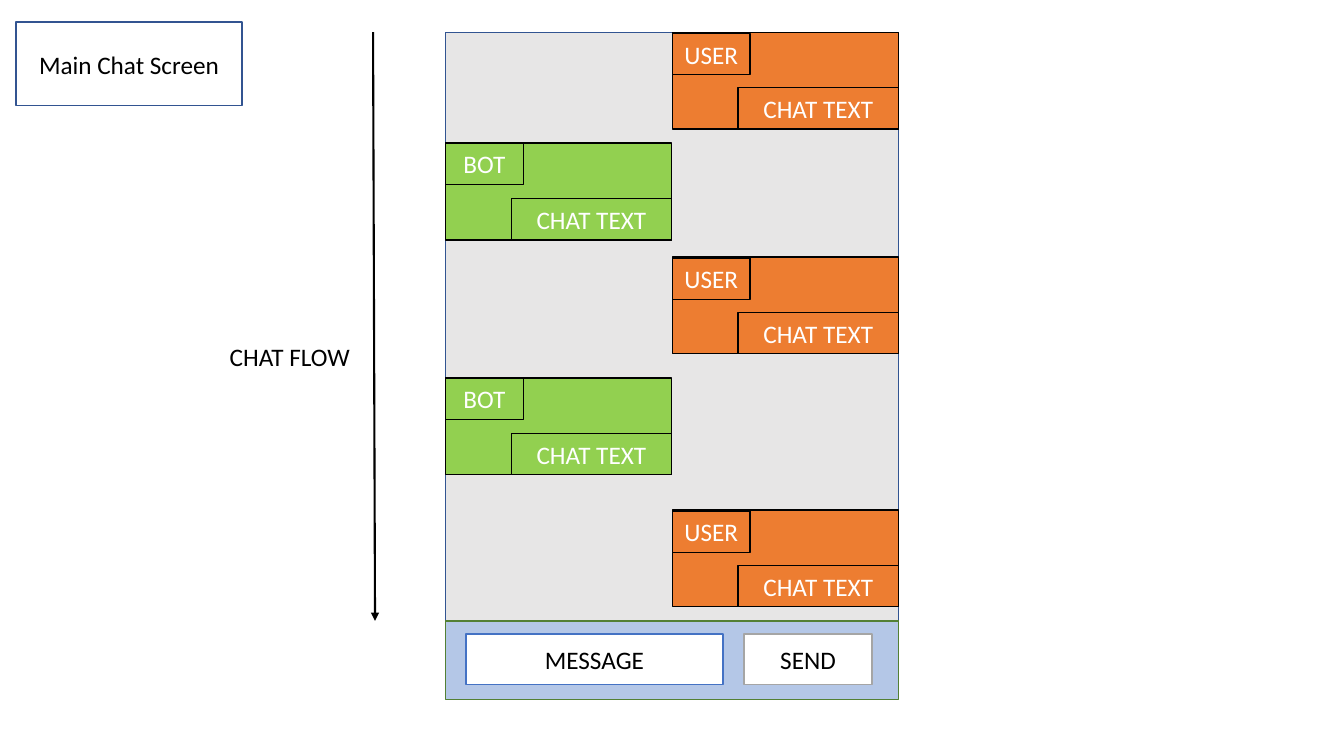
from pptx import Presentation
from pptx import util as u
from pptx.dml.color import RGBColor
from pptx.enum import shapes, text
from pptx.oxml.ns import qn
from lxml import etree

PX = 9144  # EMU per px, 100 px to the inch

COLORS = {
    "black": "000000",
    "white": "FFFFFF",
    "screen": "E7E6E6",
    "navy": "325491",
    "bar": "B4C7E7",
    "bar_edge": "538035",
    "message_edge": "4472C4",
    "send_edge": "A5A5A5",
    "user": "ED7D31",
    "bot": "92D050",
}

FONT = {"name": "Calibri", "size": u.Pt(18), "bold": False}
CENTERED = {
    "word_wrap": True,
    "auto_size": text.MSO_AUTO_SIZE.NONE,
    "vertical_anchor": text.MSO_ANCHOR.MIDDLE,
}

# Chat screen and the parts of one chat bubble
SCREEN_LEFT, SCREEN_TOP, SCREEN_WIDTH = 442, 32, 449
BAR_TOP = 616
BUBBLE_WIDTH, BUBBLE_HEIGHT = 224, 96
TAG_WIDTH, TEXT_WIDTH, LABEL_HEIGHT = 77, 159, 41
SPEAKERS = {  # left edge, drop of the name tag
    "user": (SCREEN_LEFT + SCREEN_WIDTH - BUBBLE_WIDTH, 1),
    "bot": (SCREEN_LEFT, 0),
}
CHAT = [("user", 32), ("bot", 142), ("user", 255), ("bot", 375), ("user", 506)]


def color(name):
    return RGBColor.from_string(COLORS[name])


def px(*lengths):
    return [u.Emu(length * PX) for length in lengths]


def apply(target, values):
    for name, value in values.items():
        setattr(target, name, value)


def write(box, words, ink, align):
    para = box.text_frame.paragraphs[0]
    para.alignment = align
    span = para.add_run()
    span.text = words
    apply(span.font, FONT)
    span.font.color.rgb = color(ink)


def style_box(box, fill, edge, words="", ink="black"):
    box.fill.solid()
    box.fill.fore_color.rgb = color(fill)
    box.line.color.rgb = color(edge)
    box.line.width = u.Pt(1)
    if words:
        apply(box.text_frame, CENTERED)
        write(box, words, ink, text.PP_ALIGN.CENTER)


def add_box(page, place, *style):
    box = page.shapes.add_shape(shapes.MSO_SHAPE.RECTANGLE, *px(*place))
    box.shadow.inherit = False
    style_box(box, *style)


def add_title(page, place, words):
    title = page.shapes.title
    apply(title, dict(zip(("left", "top", "width", "height"), px(*place))))
    style_box(title, "white", "navy", words)


def add_bubble(page, speaker, top):
    left, drop = SPEAKERS[speaker]
    text_left = left + BUBBLE_WIDTH - TEXT_WIDTH
    text_top = top + BUBBLE_HEIGHT - LABEL_HEIGHT
    add_box(page, (left, top, BUBBLE_WIDTH, BUBBLE_HEIGHT), speaker, "black")
    add_box(page, (left, top + drop, TAG_WIDTH, LABEL_HEIGHT),
            speaker, "black", speaker.upper(), "white")
    add_box(page, (text_left, text_top, TEXT_WIDTH, LABEL_HEIGHT),
            speaker, "black", "CHAT TEXT", "white")


def add_arrow(page, start, end):
    arrow = page.shapes.add_connector(
        shapes.MSO_CONNECTOR.STRAIGHT, *px(*start, *end))
    arrow.line.color.rgb = color("black")
    arrow.line.width = u.Pt(1.5)
    etree.SubElement(arrow.line._get_or_add_ln(), qn("a:tailEnd"), type="triangle")
    etree.SubElement(arrow._element.spPr, qn("a:effectLst"))


def add_label(page, place, words):
    box = page.shapes.add_textbox(*px(*place))
    box.text_frame.word_wrap = True
    write(box, words, "black", text.PP_ALIGN.LEFT)


def main():
    deck = Presentation()
    deck.slide_width, deck.slide_height = px(1333, 750)
    page = deck.slides.add_slide(deck.slide_layouts[5])
    add_title(page, (16, 22, 224, 83), "Main Chat Screen")

    # Chat screen with its input bar
    add_box(page, (SCREEN_LEFT, SCREEN_TOP, SCREEN_WIDTH, 661), "screen", "navy")
    add_box(page, (SCREEN_LEFT, BAR_TOP, SCREEN_WIDTH, 78), "bar", "bar_edge")
    add_box(page, (462, 629, 255, 50), "white", "message_edge", "MESSAGE")
    add_box(page, (738, 629, 127, 50), "white", "send_edge", "SEND")

    # Conversation
    for speaker, top in CHAT:
        add_bubble(page, speaker, top)

    # Direction of the chat
    add_arrow(page, (370, SCREEN_TOP), (372, BAR_TOP))
    add_label(page, (218, 334, 224, 40), "CHAT FLOW")

    deck.save("out.pptx")


if __name__ == "__main__":
    main()
